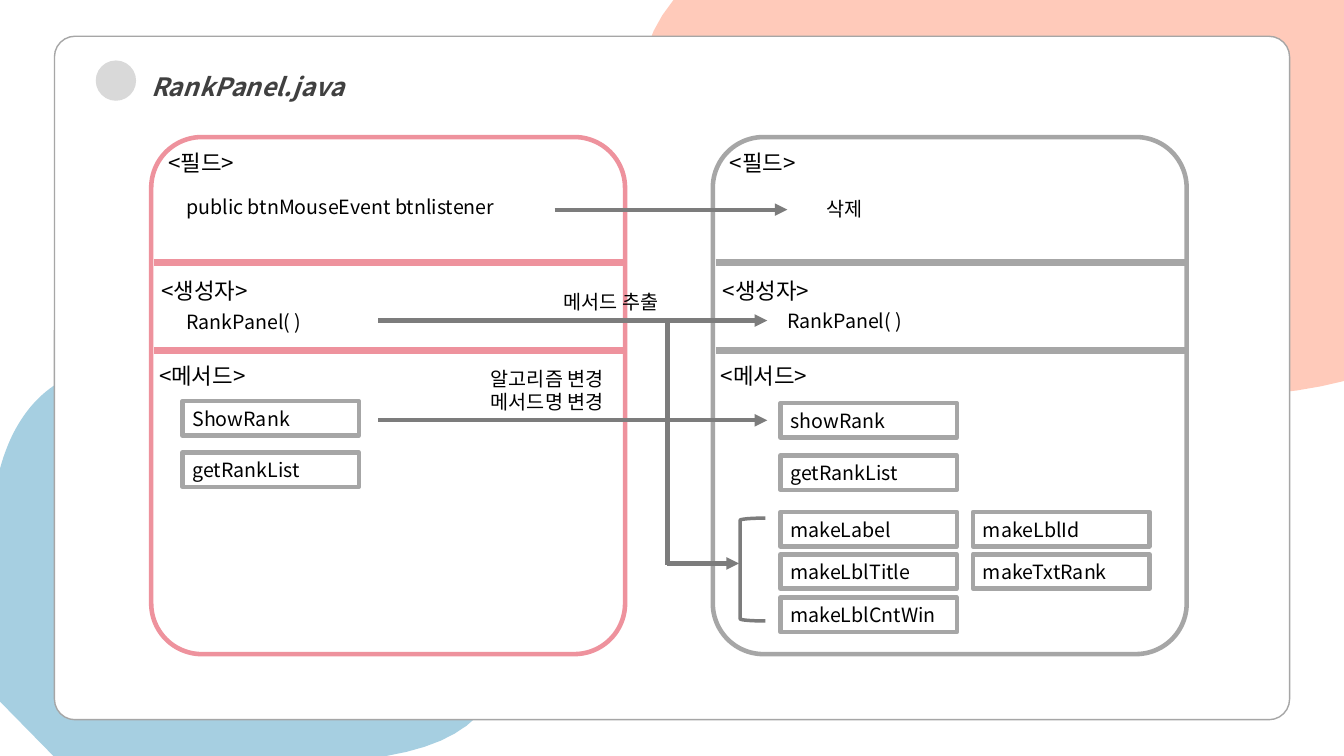
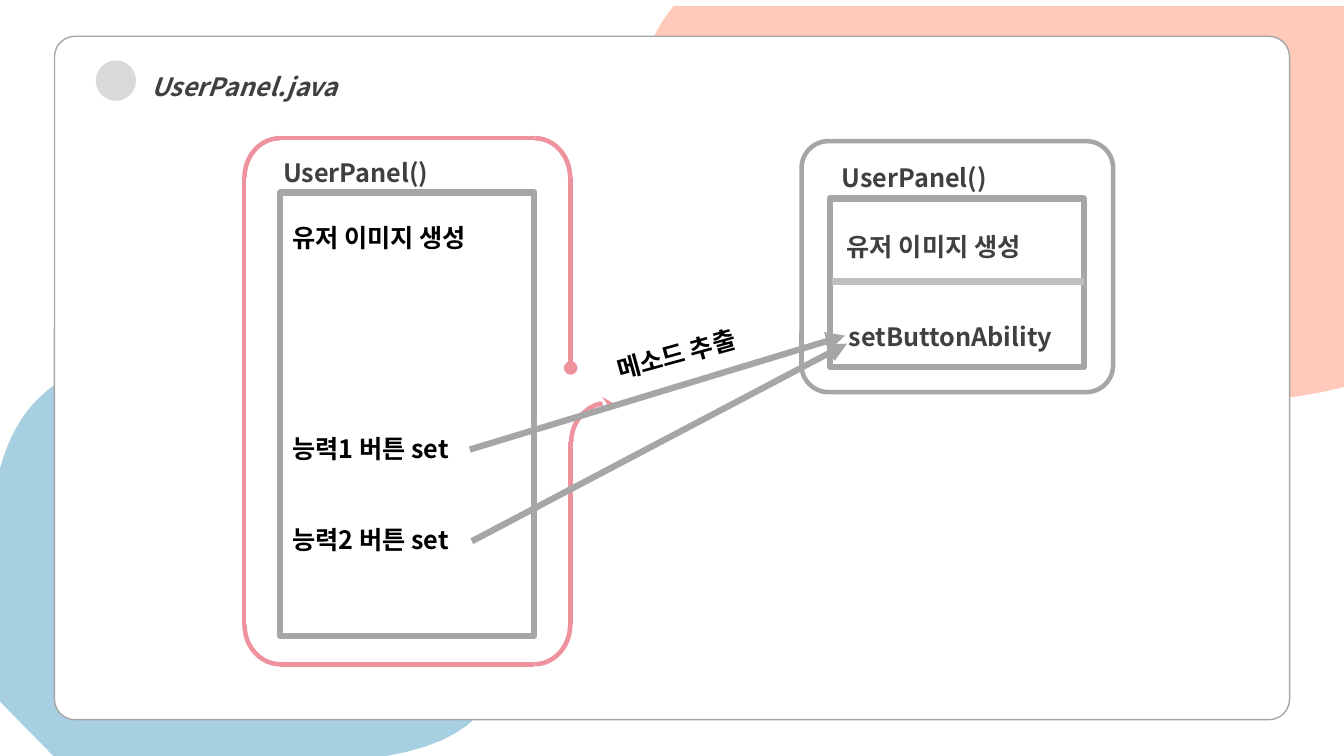
from dataclasses import dataclass

from lxml import etree
from pptx import Presentation
from pptx import util as u
from pptx.dml import color
from pptx.enum import shapes, text
from pptx.oxml import ns

FACE = "Noto Sans CJK KR"
HUES = {
    "blue": "A6CFE1", "peach": "FFCABA", "white": "FFFFFF", "pink": "EE929D",
    "gray": "A6A6A6", "pale": "BFBFBF", "dot": "D9D9D9", "dark": "7C7C7C",
    "ink": "404040", "black": "000000",
}
# Each style: font values, colour, line spacing
STYLES = {
    "title": (dict(size=u.Pt(18), bold=True, italic=True), "ink", 1.5),
    "name": (dict(size=u.Pt(18), bold=True), "ink", 1.5),
    "strong": (dict(size=u.Pt(18), bold=True), "black", None),
    "head": (dict(size=u.Pt(16)), "black", None),
    "body": (dict(size=u.Pt(14)), "black", None),
}
KIND = shapes.MSO_SHAPE
Point = tuple[float, float]


@dataclass
class Label:
    x: float
    y: float
    w: float
    h: float
    words: str
    style: str = "body"
    turn: float = 0
    gaps: tuple[float, ...] = ()


@dataclass
class Box:
    kind: KIND
    x: float
    y: float
    w: float
    h: float
    fill: str = ""
    line: str = ""
    width: float = 3.25
    adjs: tuple[float, ...] = ()
    turn: float = 0


@dataclass
class Line:
    start: Point
    end: Point
    hue: str = "dark"
    width: float = 3
    head: str = ""
    tail: str = ""


def rgb(hue: str) -> color.RGBColor:
    return color.RGBColor.from_string(HUES[hue])


def paint(shape, fill: str, line: str, width: float = 1) -> None:
    shape.shadow.inherit = False
    for part, hue in ((shape.fill, fill), (shape.line.fill, line)):
        if hue:
            part.solid()
            part.fore_color.rgb = rgb(hue)
        else:
            part.background()
    if line:
        shape.line.width = u.Pt(width)


def tip(shape, end: str, kind: str) -> None:
    """Put an arrowhead on one end of a line."""
    if kind:
        mark = etree.SubElement(shape.line._get_or_add_ln(), ns.qn(f"a:{end}End"))
        mark.set("type", kind)


def write(shape, words: str, style: str, gaps: tuple[float, ...] = ()) -> None:
    form, hue, space = STYLES[style]
    frame = shape.text_frame
    frame.word_wrap = True
    frame.auto_size = text.MSO_AUTO_SIZE.SHAPE_TO_FIT_TEXT
    frame.text = words
    for para in frame.paragraphs:
        para.alignment = text.PP_ALIGN.LEFT
        if space:
            para.line_spacing = space
        for run in para.runs:
            for key, value in form.items():
                setattr(run.font, key, value)
            run.font.name = FACE
            run.font.color.rgb = rgb(hue)
            east = etree.SubElement(run.font._element, ns.qn("a:ea"))
            east.set("typeface", FACE)
    for para, gap in zip(frame.paragraphs[1:], gaps):
        para.space_before = u.Pt(gap)


def add_box(slide, box: Box):
    spot = [u.Inches(v) for v in (box.x, box.y, box.w, box.h)]
    shape = slide.shapes.add_shape(box.kind, *spot)
    paint(shape, box.fill, box.line, box.width)
    for place, value in enumerate(box.adjs):
        shape.adjustments[place] = value
    shape.rotation = box.turn
    return shape


def add_label(slide, item: Label) -> None:
    spot = [u.Inches(v) for v in (item.x, item.y, item.w, item.h)]
    shape = slide.shapes.add_textbox(*spot)
    write(shape, item.words, item.style, item.gaps)
    shape.rotation = item.turn


def add_line(slide, item: Line) -> None:
    ends = [u.Inches(v) for v in (*item.start, *item.end)]
    line = slide.shapes.add_connector(shapes.MSO_CONNECTOR.STRAIGHT, *ends)
    line.line.color.rgb = rgb(item.hue)
    line.line.width = u.Pt(item.width)
    tip(line, "head", item.head)
    tip(line, "tail", item.tail)
    etree.SubElement(line._element.spPr, ns.qn("a:effectLst"))


def curve(a: Point, b: Point, c: Point, d: Point, steps: int = 40) -> list[Point]:
    """Points along a cubic curve from a to d."""
    spots = []
    for step in range(steps + 1):
        t = step / steps
        s = 1 - t
        parts = (s**3, 3 * s * s * t, 3 * s * t * t, t**3)
        spots.append(tuple(sum(k * p[axis] for k, p in zip(parts, (a, b, c, d)))
                           for axis in (0, 1)))
    return spots


def add_blob(slide, spots: list[Point], hue: str) -> None:
    first, *rest = [(u.Inches(x), u.Inches(y)) for x, y in spots]
    form = slide.shapes.build_freeform(*first)
    form.add_line_segments(rest, close=True)
    paint(form.convert_to_shape(), hue, "")


def add_page(deck, title: str, drop: float = 0):
    """Add a slide with its blobs, card, dot and title."""
    slide = deck.slides.add_slide(deck.slide_layouts[6])
    blue = curve((1.37, 3.61), (3.44, 3.67), (6.68, 7.03), (3.83, 7.5))
    blue += [(0.53, 7.5), (0, 6.96)]
    blue += curve((0, 4.65), (0.21, 3.88), (0.73, 3.59), (1.37, 3.61))
    add_blob(slide, blue, "blue")
    peach = [(13.33, 0)] + curve((13.33, 3.78), (10.32, 4.57), (5.04, 2), (6.68, 0))
    add_blob(slide, [(x, y + drop) for x, y in peach], "peach")
    add_box(slide, Box(KIND.ROUNDED_RECTANGLE, 0.54, 0.36, 12.25, 6.78,
                       "white", "gray", 1, (0.03,)))
    add_label(slide, Label(1.4, 0.51, 6.03, 0.5, title, "title"))
    add_box(slide, Box(KIND.OVAL, 0.95, 0.6, 0.4, 0.4, "dot"))
    return slide


def add_class(slide, x: float, hue: str) -> None:
    """Draw a class panel with field, constructor and method parts."""
    add_box(slide, Box(KIND.ROUNDED_RECTANGLE, x, 1.36, 4.7, 5.13,
                       line=hue, adjs=(0.107,)))
    for y in (2.6, 3.48):
        add_line(slide, Line((x + 0.03, y), (x + 4.68, y), hue, 5))
    heads = ((0.07, 1.43, "<필드>"), (0, 2.7, "<생성자>"), (-0.02, 3.54, "<메서드>"))
    for shift, y, words in heads:
        add_label(slide, Label(x + shift, y, 1.4, 0.37, words, "head"))


def draw_rank(deck) -> None:
    slide = add_page(deck, "RankPanel.java")
    add_class(slide, 1.5, "pink")
    add_class(slide, 7.07, "gray")
    methods = (
        (1.81, 3.98, "ShowRank"), (1.81, 4.49, "getRankList"),
        (7.74, 4, "showRank"), (7.74, 4.52, "getRankList"),
        (7.74, 5.08, "makeLabel"), (7.74, 5.5, "makeLblTitle"),
        (7.74, 5.93, "makeLblCntWin"),
        (9.65, 5.08, "makeLblId"), (9.65, 5.5, "makeTxtRank"),
    )
    for x, y, words in methods:
        box = add_box(slide, Box(KIND.RECTANGLE, x, y, 1.75, 0.34, line="gray"))
        write(box, words, "body")
    for label in (
        Label(1.75, 1.88, 4.17, 0.34, "public btnMouseEvent btnlistener"),
        Label(8.1, 1.9, 3.37, 0.34, "삭제"),
        Label(1.75, 3.03, 1.92, 0.34, "RankPanel( )"),
        Label(7.71, 3.02, 1.92, 0.34, "RankPanel( )"),
        Label(5.49, 2.83, 1.89, 0.34, "메서드 추출"),
        Label(4.77, 3.59, 1.89, 0.57, "알고리즘 변경\n메서드명 변경"),
    ):
        add_label(slide, label)
    add_line(slide, Line((6.62, 3.16), (6.62, 5.61)))
    for left, right, y in ((3.75, 7.61, 4.17), (6.62, 7.33, 5.59),
                           (3.75, 7.61, 3.18), (5.5, 7.81, 2.08)):
        add_line(slide, Line((left, y), (right, y), tail="triangle"))
    add_box(slide, Box(KIND.LEFT_BRACKET, 7.34, 5.14, 0.25, 1.02,
                       line="dark", width=2.5))


def add_arc(slide, x: float, y: float, turn: int, adjs: tuple[float, ...] = ()):
    """Draw a quarter arc around a centre."""
    w, h = (0.78, 0.71) if turn % 180 else (0.71, 0.78)
    return add_box(slide, Box(KIND.ARC, x - w / 2, y - h / 2, w, h,
                              line="pink", adjs=adjs, turn=turn))


def add_loop(slide) -> None:
    """Draw the open pink outline that ends in an arrow."""
    left, top, right, base = 2.42, 1.37, 5.66, 6.59
    west, north, east, south = 2.78, 1.76, 5.3, 6.2
    corners = ((east, north), (east, south), (west, south), (west, north))
    for place, (x, y) in enumerate(corners):
        add_arc(slide, x, y, place * 90)
    for start, end, head in (
        ((east, top), (west, top), ""),
        ((right, 3.65), (right, north), "oval"),
        ((west, base), (east, base), ""),
        ((left, north), (left, south), ""),
        ((right, south), (right, 4.39), ""),
    ):
        add_line(slide, Line(start, end, "pink", 3.25, head))
    tip(add_arc(slide, 6.02, 4.39, 270, (162, 7.35)), "tail", "stealth")


def draw_user(deck) -> None:
    slide = add_page(deck, "UserPanel.java", 0.06)
    add_loop(slide)
    for box in (
        Box(KIND.RECTANGLE, 2.78, 1.91, 2.52, 4.4, line="gray", width=4.5),
        Box(KIND.ROUNDED_RECTANGLE, 7.95, 1.4, 3.09, 2.49, line="gray", adjs=(0.107,)),
        Box(KIND.RECTANGLE, 8.23, 1.97, 2.52, 1.67, line="gray", width=4.5),
    ):
        add_box(slide, box)
    steps = "유저 이미지 생성\n능력1 버튼 set\n능력2 버튼 set"
    for label in (
        Label(2.71, 1.36, 2.59, 0.5, "UserPanel()", "name"),
        Label(2.8, 2.16, 2.41, 3.74, steps, "strong", gaps=(129, 43)),
        Label(8.25, 1.41, 2.59, 0.5, "UserPanel()", "name"),
        Label(8.3, 2.1, 2.38, 0.5, "유저 이미지 생성", "name"),
        Label(8.32, 2.99, 2.36, 0.5, "setButtonAbility", "name"),
        Label(6, 3.28, 1.66, 0.4, "메소드 추출", "strong", 344.7),
    ):
        add_label(slide, label)
    add_line(slide, Line((8.25, 2.79), (10.75, 2.79), "pale", 5))
    for start, end in (((4.66, 4.46), (8.38, 3.33)), ((4.68, 5.37), (8.4, 3.41))):
        add_line(slide, Line(start, end, "gray", 4.5, tail="triangle"))


def main() -> None:
    deck = Presentation()
    deck.slide_width, deck.slide_height = u.Inches(13.33), u.Inches(7.5)
    draw_rank(deck)
    draw_user(deck)
    deck.save("out.pptx")


if __name__ == "__main__":
    main()
